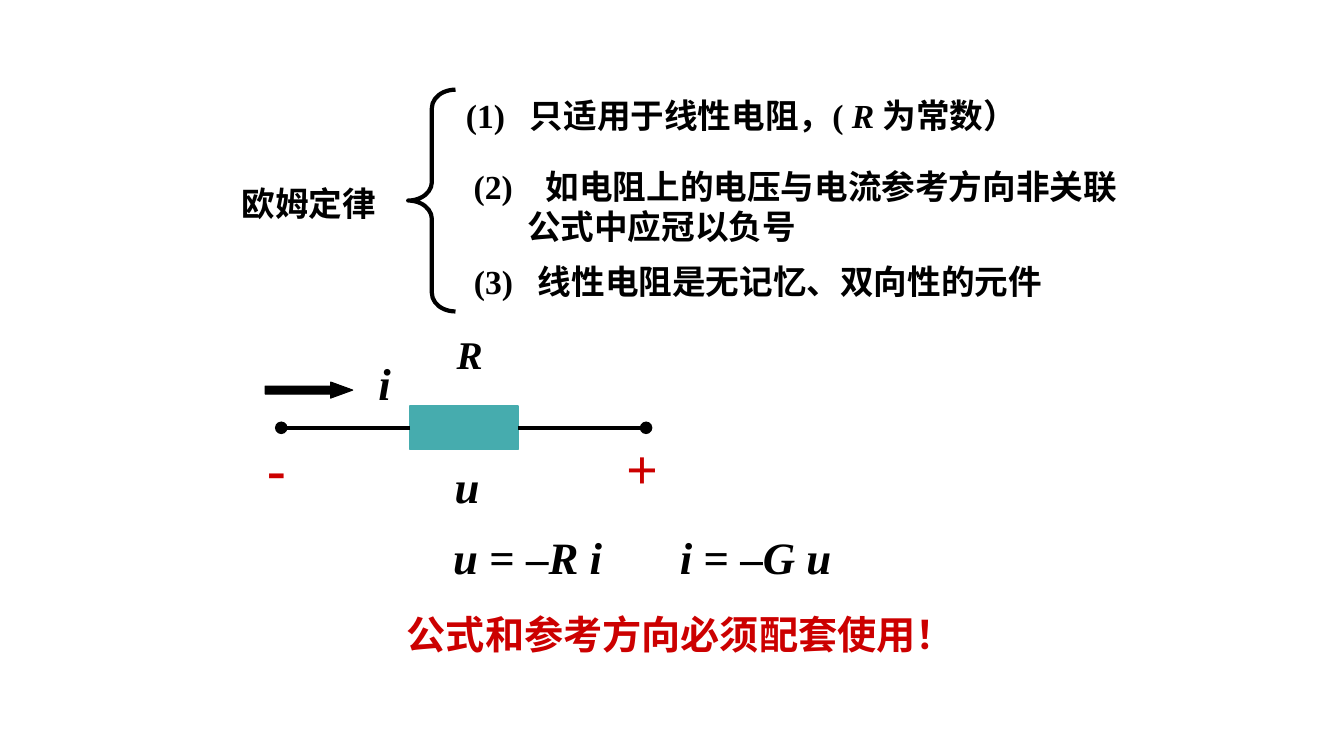
from pptx import Presentation
from pptx.dml.color import RGBColor
from pptx.enum.shapes import MSO_CONNECTOR, MSO_SHAPE
from pptx.enum.text import MSO_ANCHOR, MSO_AUTO_SIZE, PP_ALIGN
from pptx.oxml.ns import qn
from pptx.util import Pt
from lxml import etree

BLACK = RGBColor(0x00, 0x00, 0x00)
RED = RGBColor(0xCC, 0x00, 0x00)
TEAL = RGBColor(0x46, 0xAC, 0xAE)
FONT = "Times New Roman"


def set_attrs(obj, values):
    for name, value in values.items():
        setattr(obj, name, value)


def place(sp, box):
    set_attrs(sp, dict(zip(("left", "top", "width", "height"), map(Pt, box))))


def write(p, runs, size, color=BLACK, align=PP_ALIGN.CENTER, left=0, first=0):
    """Fill a paragraph with (text, italic) runs; left and first are its indents."""
    p.alignment = align
    pPr = p._p.get_or_add_pPr()
    pPr.set("marL", str(Pt(left)))
    pPr.set("indent", str(Pt(first)))
    for text, italic in runs:
        r = p.add_run()
        r.text = text
        set_attrs(r.font, {"name": FONT, "size": Pt(size), "bold": True, "italic": italic})
        r.font.color.rgb = color


def format_frame(tf, anchor=MSO_ANCHOR.MIDDLE, wrap=True):
    set_attrs(tf, {"word_wrap": wrap, "auto_size": MSO_AUTO_SIZE.NONE,
                   "vertical_anchor": anchor})
    return tf


def add_label(s, box, runs, size, color=BLACK, anchor=MSO_ANCHOR.MIDDLE, wrap=True):
    tf = format_frame(s.shapes.add_textbox(*map(Pt, box)).text_frame, anchor, wrap)
    write(tf.paragraphs[0], runs, size, color)


def add_hanging(s, box, lines, size):
    """Add a text box with one (runs, left, first) entry per paragraph."""
    tf = format_frame(s.shapes.add_textbox(*map(Pt, box)).text_frame)
    for i, (runs, left, first) in enumerate(lines):
        p = tf.add_paragraph() if i else tf.paragraphs[0]
        write(p, runs, size, align=PP_ALIGN.LEFT, left=left, first=first)


def add_outline(s, kind, box, color, width, fill=None, adjustments=()):
    sp = s.shapes.add_shape(kind, *map(Pt, box))
    sp.shadow.inherit = False
    for i, value in enumerate(adjustments):
        sp.adjustments[i] = value
    if fill is None:
        sp.fill.background()
    else:
        sp.fill.solid()
        sp.fill.fore_color.rgb = fill
    sp.line.color.rgb = color
    sp.line.width = Pt(width)
    return sp


def add_lead(s, resistor, side, end_x):
    """Run a wire from one side of the resistor to a round terminal."""
    y = resistor.top + resistor.height // 2
    lead = s.shapes.add_connector(MSO_CONNECTOR.STRAIGHT, resistor.left, y, Pt(end_x), y)
    lead.begin_connect(resistor, side)
    lead.line.color.rgb = BLACK
    lead.line.width = Pt(3)
    etree.SubElement(lead.line._get_or_add_ln(), qn("a:tailEnd"), type="oval")
    etree.SubElement(lead._element.spPr, qn("a:effectLst"))


def add_law(s):
    title = s.shapes.title
    place(title, (161.3, 126.7, 118.8, 36))
    write(format_frame(title.text_frame).paragraphs[0], [("欧姆定律", False)], 24)
    add_outline(s, MSO_SHAPE.LEFT_BRACE, (291.6, 64.1, 33.8, 158.4), BLACK, 3,
                adjustments=(0.389, 0.5))
    add_hanging(s, (319.7, 64.1, 430.6, 36), [
        ([("(1)\t只适用于线性电阻，(", False), (" R ", True), ("为常数）", False)], 51.7, -45.7),
    ], 24)
    add_hanging(s, (331.2, 114.5, 493.2, 65.5), [
        ([("(2)\t如电阻上的电压与电流参考方向非关联", False)], 51.5, -51.5),
        ([("公式中应冠以负号", False)], 38.2, 0),
    ], 24)
    add_hanging(s, (325.4, 182.9, 432.7, 36), [
        ([("(3)\t线性电阻是无记忆、双向性的元件", False)], 51.7, -45.7),
    ], 24)


def add_circuit(s):
    resistor = add_outline(s, MSO_SHAPE.RECTANGLE, (293, 290, 77, 31.2), TEAL, 1, TEAL)
    add_lead(s, resistor, 1, 200.9)
    add_lead(s, resistor, 3, 461.5)
    add_outline(s, MSO_SHAPE.RIGHT_ARROW, (189.4, 272.9, 62.6, 11.5), BLACK, 0.75, BLACK,
                (0.5, 1.371))
    add_label(s, (319, 232.6, 33.1, 41), [("R", True)], 28, wrap=False)
    for text, box, size, color, italic in (
        ("u", (303.1, 324, 61.2, 45.4), 32, BLACK, True),
        ("i", (252, 250.6, 45.4, 45.4), 32, BLACK, True),
        ("+", (439.2, 306, 39.6, 55.4), 40, RED, False),
        ("-", (161.3, 306, 73.4, 55.4), 40, RED, False),
    ):
        add_label(s, box, [(text, italic)], size, color, MSO_ANCHOR.TOP)


def add_conclusion(s):
    add_hanging(s, (273.6, 375.1, 370.8, 45.4), [
        ([("u", True), (" = –", False), ("R i\ti", True), (" = –", False), ("G u", True)],
         205, -162),
    ], 32)
    add_label(s, (282.2, 432, 408.2, 41), [("公式和参考方向必须配套使用！", False)], 28, RED,
              wrap=False)


def main():
    prs = Presentation()
    set_attrs(prs, {"slide_width": Pt(960), "slide_height": Pt(540)})
    s = prs.slides.add_slide(prs.slide_layouts[5])
    add_law(s)
    add_circuit(s)
    add_conclusion(s)
    prs.save("out.pptx")


if __name__ == "__main__":
    main()
